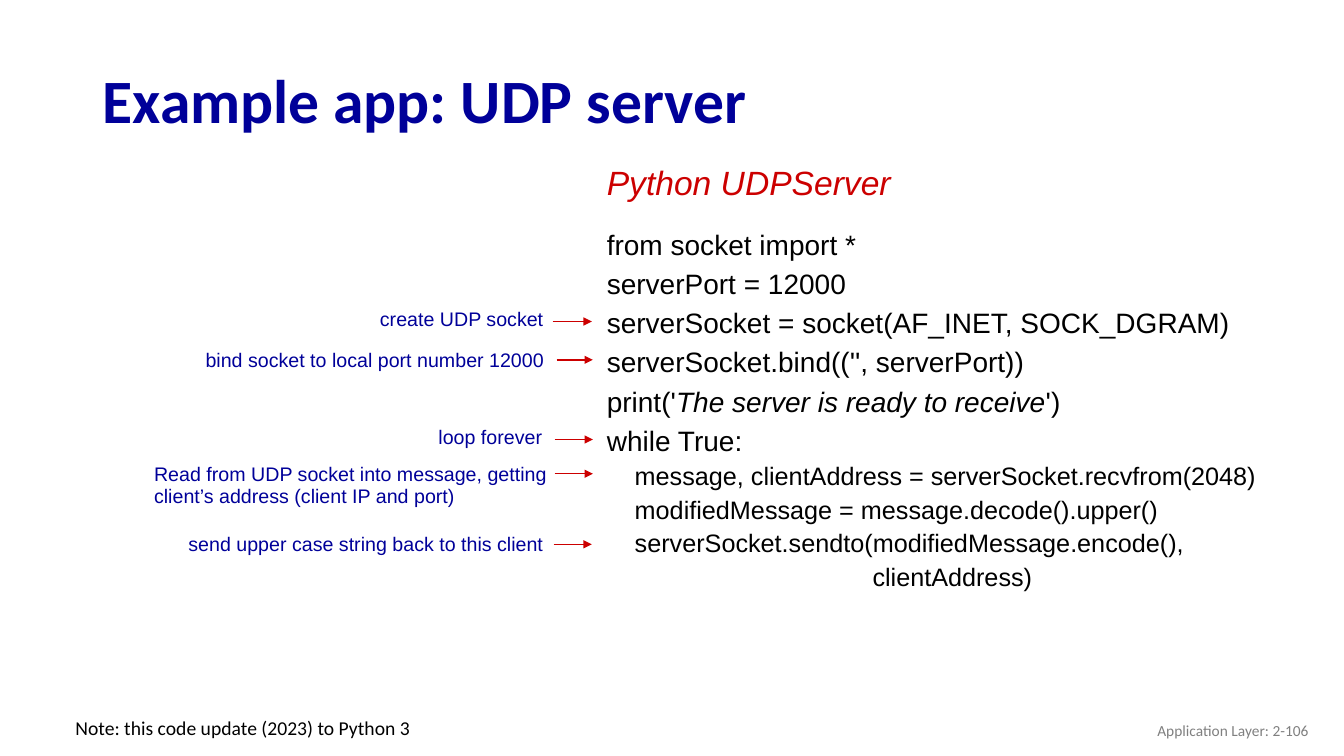
"""Build the UDP server code slide."""
from dataclasses import dataclass

from lxml import etree
from pptx import Presentation
from pptx.dml.color import RGBColor
from pptx.enum.shapes import MSO_CONNECTOR
from pptx.enum.text import MSO_ANCHOR, MSO_AUTO_SIZE, PP_ALIGN
from pptx.oxml.ns import qn
from pptx.util import Inches, Pt

STRAIGHT = MSO_CONNECTOR.STRAIGHT
MIDDLE = MSO_ANCHOR.MIDDLE
TOP = MSO_ANCHOR.TOP
GROW = MSO_AUTO_SIZE.SHAPE_TO_FIT_TEXT
FIXED = MSO_AUTO_SIZE.NONE
LEFT = PP_ALIGN.LEFT
RIGHT = PP_ALIGN.RIGHT


@dataclass(frozen=True)
class Theme:
    """Hold the colours, fonts and type sizes."""
    navy: RGBColor = RGBColor(0x00, 0x00, 0x99)
    red: RGBColor = RGBColor(0xCC, 0x00, 0x00)
    black: RGBColor = RGBColor(0x00, 0x00, 0x00)
    grey: RGBColor = RGBColor(0x80, 0x80, 0x80)
    sans: str = "Arial"
    head: str = "Calibri"
    title: int = 44
    sub: int = 24
    code: int = 20
    inner: int = 18
    note: int = 14
    foot: int = 11


THEME = Theme()

READY = "The server is ready to receive"
OUTER = [
    ["from socket import *"],
    ["serverPort = 12000"],
    ["serverSocket = socket(AF_INET, SOCK_DGRAM)"],
    ["serverSocket.bind(('', serverPort))"],
    ["print('", READY, "')"],
    ["while True:"],
]
INNER = [
    ["    message, clientAddress = serverSocket.recvfrom(2048)"],
    ["    modifiedMessage = message.decode().upper()"],
    ["    serverSocket.sendto(modifiedMessage.encode(),"],
    ["                                      clientAddress)"],
]
NOTES = [
    ("create UDP socket", (3.67, 3.0, 2.8, 0.34), None, (5.48, 5.87, 3.19)),
    ("bind socket to local port number 12000",
     (1.94, 3.4, 3.94, 0.34), None, (5.52, 5.88, 3.57)),
    ("loop forever", (4.25, 4.18, 1.31, 0.33), 16, (5.5, 5.88, 4.36)),
    ("Read from UDP socket into message, getting "
     "client’s address (client IP and port)",
     (1.43, 4.54, 4.2, 0.55), 16, (5.5, 5.88, 4.7)),
    ("send upper case string back to this client",
     (1.77, 5.23, 4.2, 0.34), None, (5.49, 5.87, 5.4)),
]


def style(run, size, color, face, bold=False, italic=False):
    """Format one run."""
    font = run.font
    font.size, font.name = Pt(size), face
    font.bold, font.italic = bold, italic
    font.color.rgb = color


def add_box(slide, area, wrap=True, anchor=TOP, fit=GROW):
    """Add an empty text box and return its frame."""
    frame = slide.shapes.add_textbox(*map(Inches, area)).text_frame
    frame.word_wrap = wrap
    frame.vertical_anchor = anchor
    frame.auto_size = fit
    return frame


def add_label(slide, text, area, size, color, face, bold=False,
              italic=False, pitch=None, align=LEFT, **box):
    """Add a box with one styled paragraph."""
    frame = add_box(slide, area, **box)
    frame.text = text
    para = frame.paragraphs[0]
    para.alignment = align
    if pitch:
        para.line_spacing = Pt(pitch)
    style(para.runs[0], size, color, face, bold, italic)


def add_code(slide, area):
    """Add the program listing."""
    frame = add_box(slide, area, wrap=False)
    lines = [(parts, THEME.code, 28) for parts in OUTER]
    lines += [(parts, THEME.inner, 24) for parts in INNER]
    for row, (parts, size, pitch) in enumerate(lines):
        para = frame.add_paragraph() if row else frame.paragraphs[0]
        para.line_spacing = Pt(pitch)
        for part in parts:
            run = para.add_run()
            run.text = part
            style(run, size, THEME.black, THEME.sans, italic=part == READY)


def add_arrow(slide, start, end, level):
    """Add a level red arrow from start to end."""
    arrow = slide.shapes.add_connector(
        STRAIGHT, *map(Inches, (start, level, end, level)))
    arrow.line.color.rgb = THEME.red
    arrow.line.width = Pt(1)
    etree.SubElement(arrow.line._get_or_add_ln(), qn("a:tailEnd"),
                     type="triangle")
    etree.SubElement(arrow._element.spPr, qn("a:effectLst"))


def main():
    """Build and save the slide."""
    deck = Presentation()
    deck.slide_width, deck.slide_height = Inches(13.33), Inches(7.5)
    slide = deck.slides.add_slide(deck.slide_layouts[6])
    add_label(slide, "Example app: UDP server", (0.92, 0.49, 11.5, 0.98),
              THEME.title, THEME.navy, THEME.head, bold=True,
              anchor=MIDDLE, fit=FIXED)
    add_label(slide, "Python UDPServer", (5.92, 1.56, 3.05, 0.5),
              THEME.sub, THEME.red, THEME.sans, italic=True, wrap=False)
    add_code(slide, (5.92, 2.15, 6.7, 3.78))
    for text, area, pitch, span in NOTES:
        add_label(slide, text, area, THEME.note, THEME.navy, THEME.sans,
                  pitch=pitch)
        add_arrow(slide, *span)
    add_label(slide, "Application Layer: 2-106", (10.08, 7.05, 3, 0.4),
              THEME.foot, THEME.grey, THEME.head, align=RIGHT,
              anchor=MIDDLE, fit=FIXED)
    add_label(slide, "Note: this code update (2023) to Python 3",
              (0.65, 7.05, 3.56, 0.34), THEME.note, THEME.black,
              THEME.head, wrap=False)
    deck.save("out.pptx")


if __name__ == "__main__":
    main()
